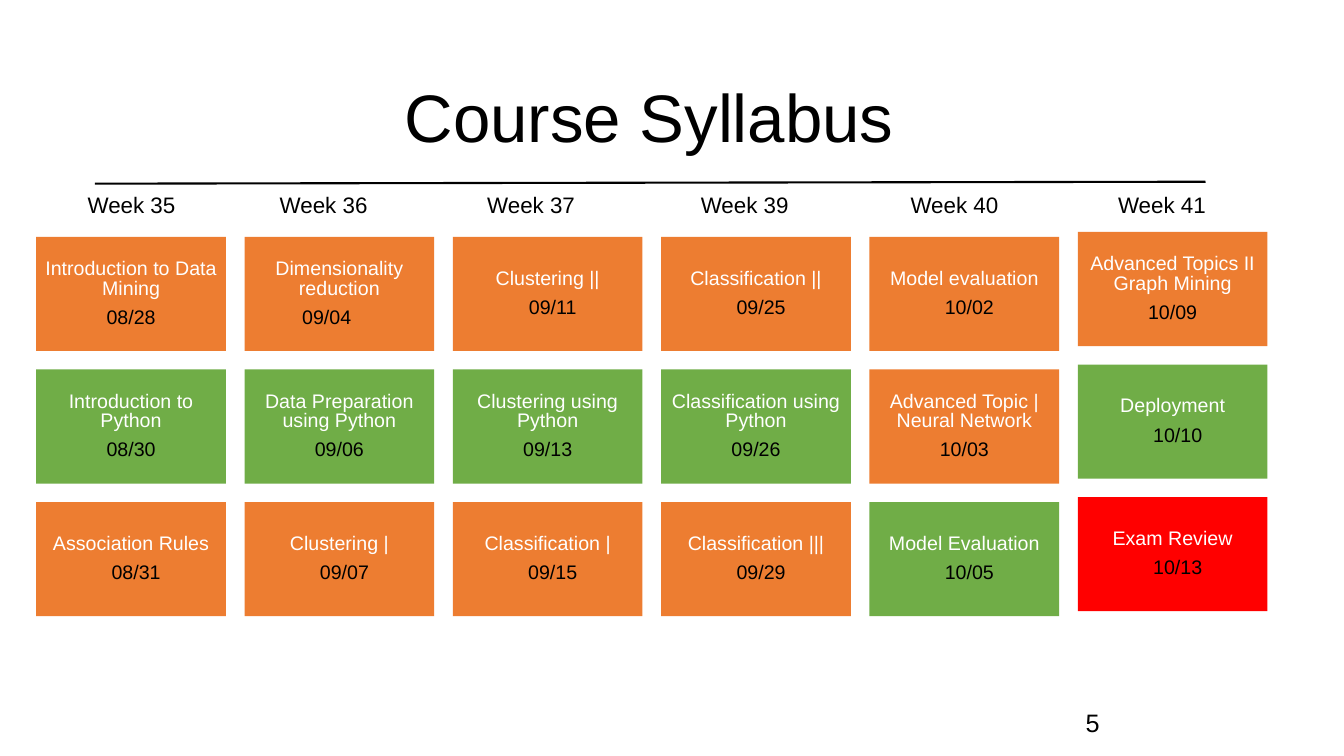
from dataclasses import dataclass

from lxml import etree
from pptx import Presentation
from pptx import util as u
from pptx.dml import color
from pptx.enum import shapes, text
from pptx.oxml import ns


@dataclass(frozen=True)
class Theme:
    font: str = "Arial"
    black: str = "000000"
    white: str = "FFFFFF"
    lecture: str = "ED7D31"
    practice: str = "70AD47"
    exam: str = "FF0000"
    title_size: float = 48
    page_size: float = 18
    week_size: float = 16
    card_size: float = 14


@dataclass(frozen=True)
class Session:
    topic: str
    date: str
    fill: str
    date_shift: float = 0


@dataclass(frozen=True)
class Week:
    label: str
    label_left: float
    sessions: tuple[Session, ...]
    top: float = 169.2


THEME = Theme()
CARD_LEFT, CARD_WIDTH, CARD_HEIGHT = 25.9, 135.5, 81.5
COLUMN_PITCH, ROW_PITCH = 148.8, 94.7
LABEL_TOP = 136.3
ONE_LINE_DATE_SHIFT = 3.6

WEEKS = (
    Week("Week 35", 62.6, (
        Session("Introduction to Data\vMining", "08/28", THEME.lecture),
        Session("Introduction to\vPython", "08/30", THEME.practice),
        Session("Association Rules", "08/31", THEME.lecture),
    )),
    Week("Week 36", 199.8, (
        Session("Dimensionality\vreduction", "09/04", THEME.lecture, -9),
        Session("Data Preparation\vusing Python", "09/06", THEME.practice),
        Session("Clustering |", "09/07", THEME.lecture),
    )),
    Week("Week 37", 348, (
        Session("Clustering ||", "09/11", THEME.lecture),
        Session("Clustering using\vPython", "09/13", THEME.practice),
        Session("Classification |", "09/15", THEME.lecture),
    )),
    Week("Week 39", 500.6, (
        Session("Classification ||", "09/25", THEME.lecture),
        Session("Classification using\vPython", "09/26", THEME.practice),
        Session("Classification |||", "09/29", THEME.lecture),
    )),
    Week("Week 40", 650.4, (
        Session("Model evaluation", "10/02", THEME.lecture),
        Session("Advanced Topic |\vNeural Network", "10/03", THEME.lecture),
        Session("Model Evaluation", "10/05", THEME.practice),
    )),
    Week("Week 41", 798.6, (
        Session("Advanced Topics II\vGraph Mining", "10/09", THEME.lecture),
        Session("Deployment", "10/10", THEME.practice),
        Session("Exam Review", "10/13", THEME.exam),
    ), top=165.7),
)


def rgb(value: str) -> color.RGBColor:
    return color.RGBColor.from_string(value)


def clear_margins(frame) -> None:
    frame.margin_left = frame.margin_right = u.Pt(0)
    frame.margin_top = frame.margin_bottom = u.Pt(0)


def write(paragraph, words: str, size: float, ink: str) -> None:
    paragraph.text = words
    paragraph.font.name = THEME.font
    paragraph.font.size = u.Pt(size)
    paragraph.font.color.rgb = rgb(ink)


def add_label(slide, words: str, left: float, top: float, width: float,
              height: float, size: float) -> None:
    box = slide.shapes.add_textbox(u.Pt(left), u.Pt(top), u.Pt(width), u.Pt(height))
    clear_margins(box.text_frame)
    box.text_frame.word_wrap = True
    write(box.text_frame.paragraphs[0], words, size, THEME.black)


def add_rule(slide) -> None:
    rule = slide.shapes.add_connector(
        shapes.MSO_CONNECTOR.STRAIGHT, u.Pt(67.7), u.Pt(131.2), u.Pt(861.1), u.Pt(129.8))
    rule.line.color.rgb = rgb(THEME.black)
    rule.line.width = u.Pt(1.5)
    etree.SubElement(rule._element.spPr, ns.qn("a:effectLst"))


def shift_centre(paragraph, shift: float) -> None:
    side = "marL" if shift > 0 else "marR"
    paragraph._p.get_or_add_pPr().set(side, str(int(u.Pt(2 * abs(shift)))))


def add_card(slide, session: Session, left: float, top: float) -> None:
    card = slide.shapes.add_shape(
        shapes.MSO_SHAPE.RECTANGLE, u.Pt(left), u.Pt(top), u.Pt(CARD_WIDTH), u.Pt(CARD_HEIGHT))
    card.shadow.inherit = False
    card.fill.solid()
    card.fill.fore_color.rgb = rgb(session.fill)
    card.line.fill.background()

    frame = card.text_frame
    clear_margins(frame)
    frame.word_wrap = True
    frame.vertical_anchor = text.MSO_ANCHOR.MIDDLE

    topic = frame.paragraphs[0]
    write(topic, session.topic, THEME.card_size, THEME.white)
    topic.line_spacing = u.Pt(14)
    topic.alignment = text.PP_ALIGN.CENTER

    date = frame.add_paragraph()
    write(date, session.date, THEME.card_size, THEME.black)
    date.space_before = u.Pt(4)
    date.alignment = text.PP_ALIGN.CENTER
    shift = session.date_shift
    if "\v" not in session.topic:
        shift = ONE_LINE_DATE_SHIFT
    if shift:
        shift_centre(date, shift)


def main() -> None:
    presentation = Presentation()
    presentation.slide_width, presentation.slide_height = u.Pt(960), u.Pt(540)
    slide = presentation.slides.add_slide(presentation.slide_layouts[6])

    add_label(slide, "Course Syllabus", 289, 53.5, 360, 56, THEME.title_size)
    add_rule(slide)
    for column, week in enumerate(WEEKS):
        add_label(slide, week.label, week.label_left, LABEL_TOP, 70, 20, THEME.week_size)
        for row, session in enumerate(week.sessions):
            add_card(slide, session, CARD_LEFT + column * COLUMN_PITCH,
                     week.top + row * ROW_PITCH)
    add_label(slide, "5", 775.5, 505, 16, 22, THEME.page_size)
    presentation.save("out.pptx")


if __name__ == "__main__":
    main()
